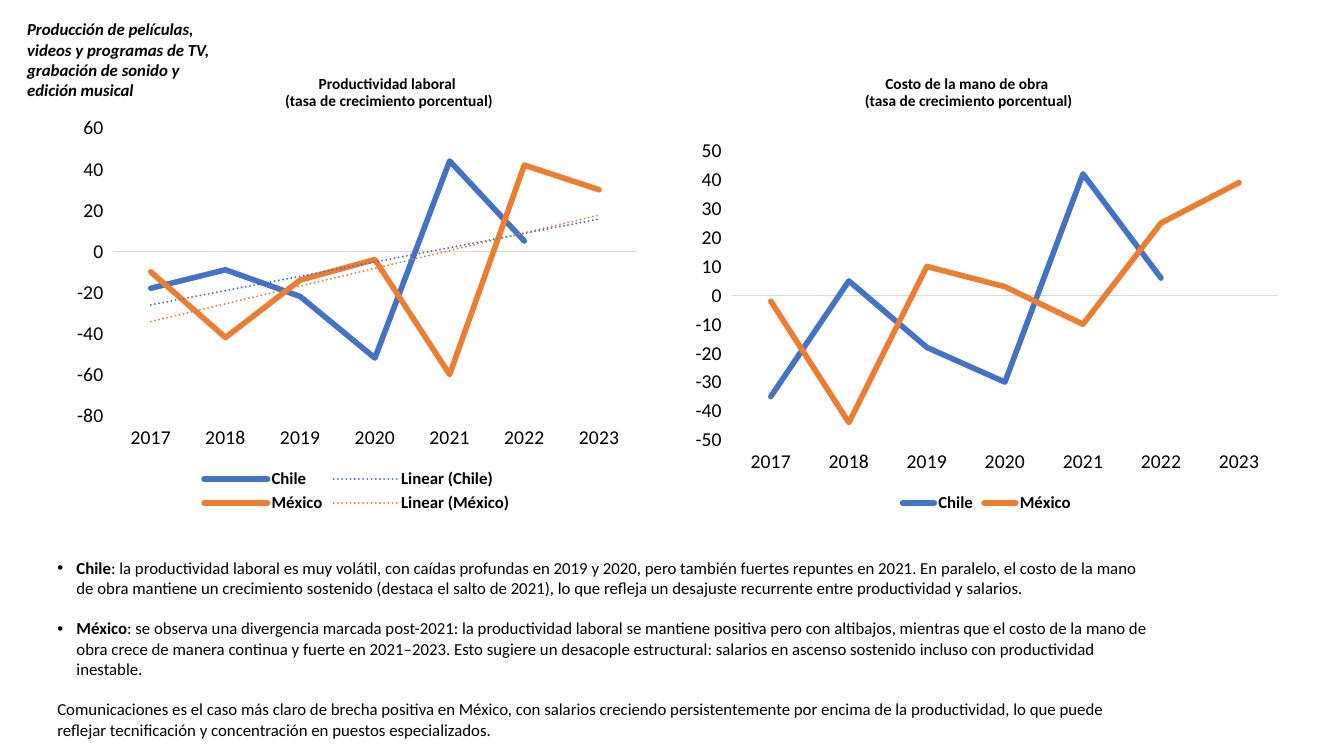
from copy import deepcopy
from dataclasses import dataclass

from lxml.etree import SubElement
from pptx import Presentation
from pptx.chart.data import CategoryChartData
from pptx.dml.color import RGBColor
from pptx.enum.chart import XL_CHART_TYPE as ChartType
from pptx.enum.chart import XL_LEGEND_POSITION as LegendPosition
from pptx.enum.chart import XL_TICK_LABEL_POSITION as LabelPosition
from pptx.enum.chart import XL_TICK_MARK as TickMark
from pptx.enum.text import MSO_ANCHOR as Anchor
from pptx.enum.text import MSO_AUTO_SIZE as AutoSize
from pptx.enum.text import PP_ALIGN as Align
from pptx.oxml import parse_xml
from pptx.oxml.ns import nsdecls, qn
from pptx.util import Pt

SECTOR = "Producción de películas, videos y programas de TV, grabación de sonido y edición musical"
SECTOR_BOX = (12.24, 10.08, 159.12, 65.52)
YEARS = ["2017", "2018", "2019", "2020", "2021", "2022", "2023"]
PANELS = [
    {
        "title": "Productividad laboral \v(tasa de crecimiento porcentual)",
        "title_box": (169.2, 54.72, 217.44, 23.04),
        "chart_box": (46.8, 77.04, 416.16, 292.32),
        "values": {
            "Chile": [-18, -9, -22, -52, 44, 5, None],
            "México": [-10, -42, -14, -4, -60, 42, 30],
        },
        "scale": (-80, 60, 20),
        "trend": True,
    },
    {
        "title": "Costo de la mano de obra \v(tasa de crecimiento porcentual)",
        "title_box": (584.64, 54.72, 214.56, 23.04),
        "chart_box": (488.16, 93.6, 433.44, 275.76),
        "values": {
            "Chile": [-35, 5, -18, -30, 42, 6, None],
            "México": [-2, -44, 10, 3, -10, 25, 39],
        },
        "scale": (-50, 50, 10),
        "trend": False,
    },
]
FINDINGS_BOX = (33.84, 394.56, 797.04, 138.24)
FINDINGS = [
    ("Chile", ": la productividad laboral es muy volátil, con caídas profundas en 2019 y 2020, "
     "pero también fuertes repuntes en 2021. En paralelo, el costo de la mano de obra mantiene "
     "un crecimiento sostenido (destaca el salto de 2021), lo que refleja un desajuste "
     "recurrente entre productividad y salarios."),
    ("México", ": se observa una divergencia marcada post-2021: la productividad laboral se "
     "mantiene positiva pero con altibajos, mientras que el costo de la mano de obra crece de "
     "manera continua y fuerte en 2021–2023. Esto sugiere un desacople estructural: salarios en "
     "ascenso sostenido incluso con productividad inestable."),
    ("", "Comunicaciones es el caso más claro de brecha positiva en México, con salarios "
     "creciendo persistentemente por encima de la productividad, lo que puede reflejar "
     "tecnificación y concentración en puestos especializados."),
]


@dataclass(frozen=True)
class Theme:
    font: str = "Calibri"
    text: str = "000000"
    axis: str = "D9D9D9"
    countries: tuple = ("4472C4", "ED7D31")
    title_size: float = 11
    body_size: float = 12
    axis_size: float = 14
    chart_size: float = 10
    series_width: float = 4
    trend_width: float = 1.5
    paragraph_gap: float = 14.65
    bullet_indent: float = 13.68


THEME = Theme()


def box(values):
    return [Pt(value) for value in values]


def set_all(target, values):
    for name, value in values.items():
        setattr(target, name, value)


def style_font(font, size, **styles):
    set_all(font, {"name": THEME.font, "size": Pt(size), **styles})
    font.color.rgb = RGBColor.from_string(THEME.text)


def add_run(paragraph, text, size=THEME.body_size, **styles):
    run = paragraph.add_run()
    run.text = text
    style_font(run.font, size, **styles)
    return run


def write_title(shape, panel):
    left, top, width, height = box(panel["title_box"])
    set_all(shape, {"left": left, "top": top, "width": width, "height": height})
    set_all(shape.text_frame, {"word_wrap": True, "auto_size": AutoSize.NONE,
                               "vertical_anchor": Anchor.MIDDLE})
    paragraph = shape.text_frame.paragraphs[0]
    set_all(paragraph, {"alignment": Align.CENTER, "line_spacing": 0.9})
    heading, unit = panel["title"].split("\v")
    run = add_run(paragraph, heading, THEME.title_size, bold=True)
    paragraph.add_line_break()
    # The break needs the run's size, or it takes the placeholder's taller line.
    paragraph._p.find(qn("a:br")).append(deepcopy(run._r.rPr))
    add_run(paragraph, unit, THEME.title_size, bold=True)


def add_text_box(slide, position):
    frame = slide.shapes.add_textbox(*box(position)).text_frame
    set_all(frame, {"word_wrap": True, "auto_size": AutoSize.SHAPE_TO_FIT_TEXT})
    return frame


def add_bullet(paragraph):
    properties = paragraph._p.get_or_add_pPr()
    indent = Pt(THEME.bullet_indent)
    properties.set("marL", str(indent))
    properties.set("indent", str(-indent))
    SubElement(properties, qn("a:buFont")).set("typeface", "Arial")
    SubElement(properties, qn("a:buChar")).set("char", "•")


def add_findings(slide):
    frame = add_text_box(slide, FINDINGS_BOX)
    for index, (country, finding) in enumerate(FINDINGS):
        paragraph = frame.add_paragraph() if index else frame.paragraphs[0]
        if index:
            paragraph.space_before = Pt(THEME.paragraph_gap)
        if country:
            add_bullet(paragraph)
            add_run(paragraph, country, bold=True)
        add_run(paragraph, finding, bold=False)


def add_trend(series, color):
    """Add a dotted linear trend line before the series categories."""
    series._element.find(qn("c:cat")).addprevious(parse_xml(
        f'<c:trendline {nsdecls("c", "a")}><c:spPr>'
        f'<a:ln w="{Pt(THEME.trend_width)}" cap="rnd"><a:solidFill><a:srgbClr val="{color}"/>'
        '</a:solidFill><a:prstDash val="sysDot"/></a:ln></c:spPr>'
        '<c:trendlineType val="linear"/><c:dispRSqr val="0"/><c:dispEq val="0"/>'
        '</c:trendline>'))


def style_axes(chart, scale):
    for axis in (chart.category_axis, chart.value_axis):
        set_all(axis, {"has_major_gridlines": False, "major_tick_mark": TickMark.NONE,
                       "minor_tick_mark": TickMark.NONE,
                       "tick_label_position": LabelPosition.LOW})
        style_font(axis.tick_labels.font, THEME.axis_size)
    line = chart.category_axis.format.line
    line.color.rgb = RGBColor.from_string(THEME.axis)
    line.width = Pt(0.75)
    value_axis = chart.value_axis
    value_axis.format.line.fill.background()
    set_all(value_axis.tick_labels, {"number_format": "0", "number_format_is_linked": False})
    set_all(value_axis, dict(zip(("minimum_scale", "maximum_scale", "major_unit"), scale)))


def add_growth_chart(slide, panel):
    data = CategoryChartData(number_format="0")
    data.categories = YEARS
    for country, values in panel["values"].items():
        data.add_series(country, values)
    chart = slide.shapes.add_chart(ChartType.LINE, *box(panel["chart_box"]), data).chart
    set_all(chart, {"has_title": False, "has_legend": True})
    style_font(chart.font, THEME.chart_size)
    set_all(chart.legend, {"position": LegendPosition.BOTTOM, "include_in_layout": False})
    style_font(chart.legend.font, THEME.body_size, bold=True)
    style_axes(chart, panel["scale"])
    plot = chart.plots[0]
    plot.vary_by_categories = False
    for series, color in zip(plot.series, THEME.countries):
        series.smooth = False
        line = series.format.line
        line.color.rgb = RGBColor.from_string(color)
        line.width = Pt(THEME.series_width)
        series._element.find(f'{qn("c:spPr")}/{qn("a:ln")}').set("cap", "rnd")
        if panel["trend"]:
            add_trend(series, color)


def main():
    presentation = Presentation()
    set_all(presentation, {"slide_width": Pt(960), "slide_height": Pt(540)})
    slide = presentation.slides.add_slide(presentation.slide_layouts[5])
    productivity, labour_cost = PANELS
    write_title(slide.shapes.title, productivity)
    write_title(slide.shapes.add_textbox(*box(labour_cost["title_box"])), labour_cost)
    add_findings(slide)
    for panel in PANELS:
        add_growth_chart(slide, panel)
    sector = add_text_box(slide, SECTOR_BOX).paragraphs[0]
    add_run(sector, SECTOR, bold=True, italic=True)
    presentation.save("out.pptx")


if __name__ == "__main__":
    main()
